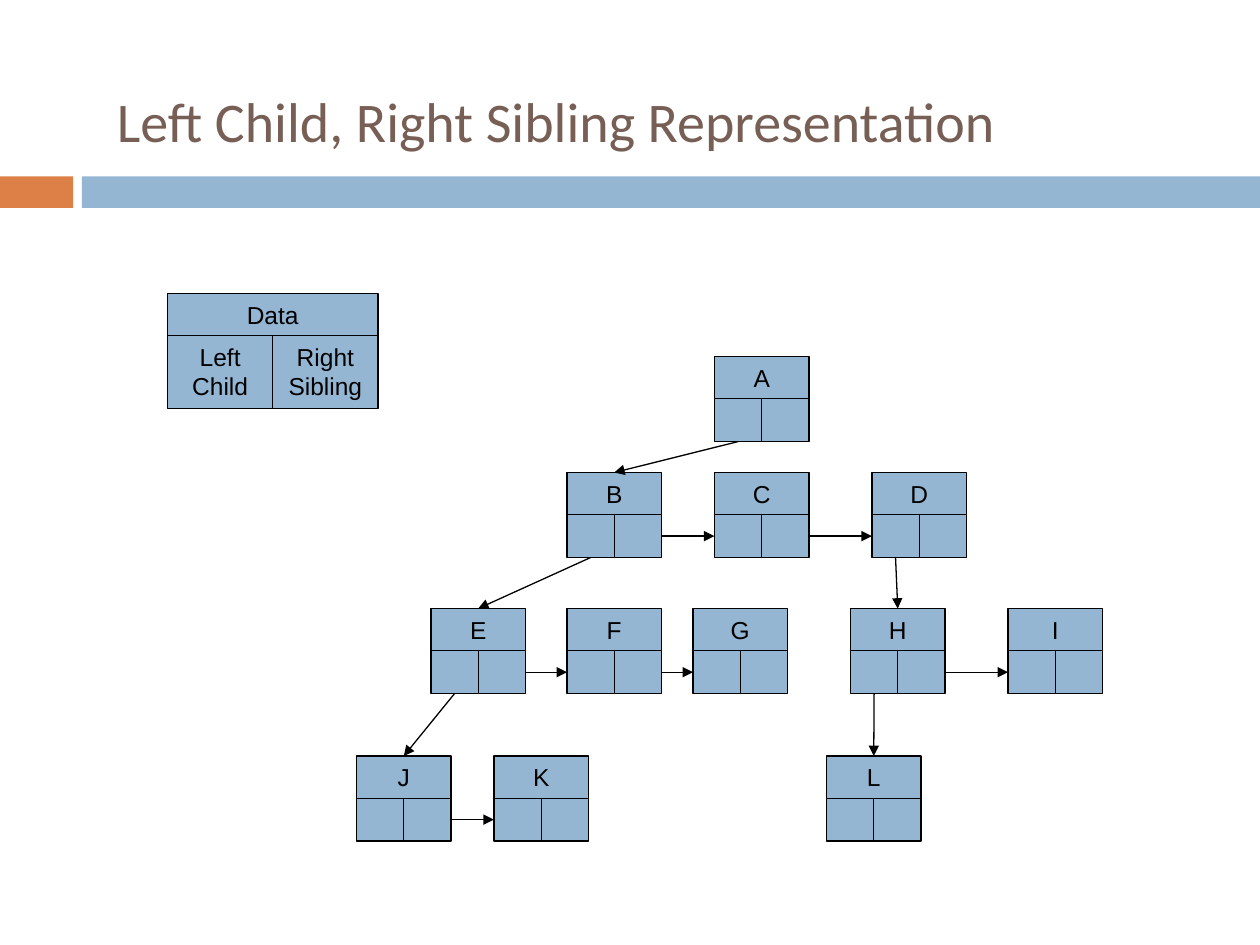
from dataclasses import dataclass

import pptx
import pptx.dml.color
import pptx.enum.shapes
import pptx.enum.text
import pptx.oxml
import pptx.oxml.ns
import pptx.util
from pptx.util import Inches

RGBColor = pptx.dml.color.RGBColor
BLUE = RGBColor(0x94, 0xB6, 0xD2)
ORANGE = RGBColor(0xDD, 0x80, 0x47)
BROWN = RGBColor(0x77, 0x5F, 0x55)
BLACK = RGBColor(0, 0, 0)

CELL_FONT = {"name": "Arial", "size": pptx.util.Pt(14)}
TITLE_FONT = {"name": "Calibri", "size": pptx.util.Pt(32)}
LINE_WIDTH = pptx.util.Pt(0.75)
TOP, LEFT, BOTTOM, RIGHT = range(4)

NODE_WIDTH = 0.75
DATA_HEIGHT = 0.34
POINTER_OFFSET = 0.335
LEVEL_TOPS = (2.83, 3.75, 4.83, 6)
LEVELS = (
    {"A": 5.67},
    {"B": 4.5, "C": 5.67, "D": 6.92},
    {"E": 3.42, "F": 4.5, "G": 5.5, "H": 6.75, "I": 8},
    {"J": 2.83, "K": 3.92, "L": 6.56},
)
CHILD_LINKS = ("AB", "BE", "EJ", "DH", "HL")
SIBLING_LINKS = ("BC", "CD", "EF", "FG", "HI", "JK")


@dataclass
class Node:
    data: pptx.shapes.autoshape.Shape
    child: pptx.shapes.autoshape.Shape
    sibling: pptx.shapes.autoshape.Shape


def set_text(shape, text: str, font: dict, color: RGBColor) -> None:
    paragraph = shape.text_frame.paragraphs[0]
    span = paragraph.add_run()
    span.text = text
    for name, value in font.items():
        setattr(span.font, name, value)
    span.font.color.rgb = color


def add_box(shapes, left: float, top: float, width: float, height: float,
            fill: RGBColor):
    box = shapes.add_shape(pptx.enum.shapes.MSO_SHAPE.RECTANGLE,
                           Inches(left), Inches(top), Inches(width), Inches(height))
    box.shadow.inherit = False
    box.fill.solid()
    box.fill.fore_color.rgb = fill
    box.line.fill.background()
    return box


def add_cell(shapes, left: float, top: float, width: float, height: float,
             text: str = ""):
    cell = add_box(shapes, left, top, width, height, BLUE)
    cell.line.color.rgb = BLACK
    cell.line.width = LINE_WIDTH
    if text:
        cell.text_frame.word_wrap = True
        cell.text_frame.vertical_anchor = pptx.enum.text.MSO_ANCHOR.TOP
        cell.text_frame.paragraphs[0].alignment = pptx.enum.text.PP_ALIGN.CENTER
        set_text(cell, text, CELL_FONT, BLACK)
    return cell


def add_node(slide, left: float, top: float, text: str, width: float = NODE_WIDTH,
             pointer_height: float = DATA_HEIGHT, child_text: str = "",
             sibling_text: str = "") -> Node:
    """Group a data cell with the two pointer cells below it."""
    shapes = slide.shapes.add_group_shape().shapes
    half = width / 2
    pointer_top = top + POINTER_OFFSET
    return Node(
        add_cell(shapes, left, top, width, DATA_HEIGHT, text),
        add_cell(shapes, left, pointer_top, half, pointer_height, child_text),
        add_cell(shapes, left + half, pointer_top, half, pointer_height, sibling_text),
    )


def add_arrow(slide, start, start_side: int, end, end_side: int) -> None:
    arrow = slide.shapes.add_connector(
        pptx.enum.shapes.MSO_CONNECTOR.STRAIGHT, 0, 0, 0, 0)
    arrow.begin_connect(start, start_side)
    arrow.end_connect(end, end_side)
    arrow.line.color.rgb = BLACK
    arrow.line.width = LINE_WIDTH
    head = pptx.oxml.parse_xml(
        f'<a:tailEnd {pptx.oxml.ns.nsdecls("a")} type="triangle"/>')
    arrow.line._get_or_add_ln().append(head)
    effects = pptx.oxml.parse_xml(f'<a:effectLst {pptx.oxml.ns.nsdecls("a")}/>')
    arrow._element.spPr.append(effects)


def add_title(slide, text: str) -> None:
    title = slide.shapes.add_textbox(
        Inches(0.83), Inches(0.33), Inches(9.17), Inches(1.25))
    title.text_frame.word_wrap = True
    title.text_frame.vertical_anchor = pptx.enum.text.MSO_ANCHOR.MIDDLE
    set_text(title, text, TITLE_FONT, BROWN)


def main() -> None:
    deck = pptx.Presentation()
    deck.slide_width, deck.slide_height = Inches(10), Inches(7.5)
    slide = deck.slides.add_slide(deck.slide_layouts[6])

    add_box(slide.shapes, 0, 1.4, 0.58, 0.25, ORANGE)
    add_box(slide.shapes, 0.65, 1.4, 9.35, 0.25, BLUE)
    add_title(slide, "Left Child, Right Sibling Representation")

    add_node(slide, 1.33, 2.33, "Data", 1.67, 0.58, "Left Child", "Right Sibling")
    nodes = {
        name: add_node(slide, left, top, name)
        for top, level in zip(LEVEL_TOPS, LEVELS)
        for name, left in level.items()
    }
    for parent, child in CHILD_LINKS:
        add_arrow(slide, nodes[parent].child, BOTTOM, nodes[child].data, TOP)
    for node, sibling in SIBLING_LINKS:
        add_arrow(slide, nodes[node].sibling, RIGHT, nodes[sibling].child, LEFT)

    deck.save("out.pptx")


if __name__ == "__main__":
    main()
